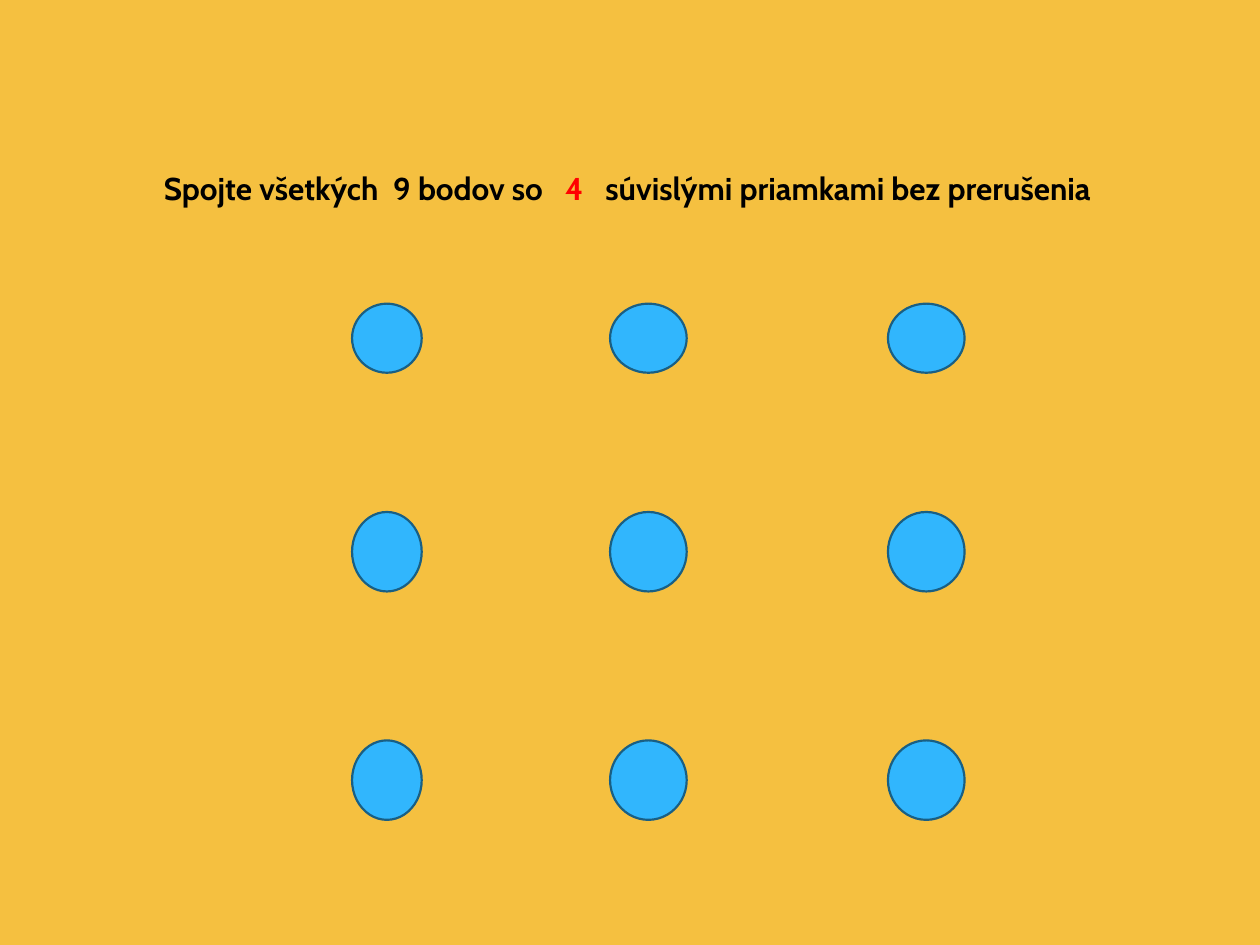
from pptx import Presentation
from pptx.dml.color import RGBColor
from pptx.enum.shapes import MSO_SHAPE
from pptx.enum.text import MSO_ANCHOR, PP_ALIGN
from pptx.util import Pt

COLORS = {
    "background": "F5C040",
    "dot": "31B6FD",
    "outline": "195F84",
    "text": "000000",
    "accent": "FF0000",
}


def add_span(para, text, color="text", spacing=0):
    """Add a bold run; spacing widens each character, in points."""
    span = para.add_run()
    span.text = text
    span.font.name = "Cabin"
    span.font.size = Pt(18)
    span.font.bold = True
    span.font.color.rgb = RGBColor.from_string(COLORS[color])
    if spacing:
        span.font._element.set("spc", str(round(spacing * 100)))


# Deck and background
deck = Presentation()
deck.slide_width, deck.slide_height = Pt(720), Pt(540)
page = deck.slides.add_slide(deck.slide_layouts[5])
page.background.fill.solid()
page.background.fill.fore_color.rgb = RGBColor.from_string(COLORS["background"])

# Title
title = page.shapes.title
title.left, title.top, title.width, title.height = Pt(82), Pt(80.6), Pt(553), Pt(53.3)
frame = title.text_frame
frame.word_wrap = True
frame.vertical_anchor = MSO_ANCHOR.MIDDLE
para = frame.paragraphs[0]
para.alignment = PP_ALIGN.CENTER
add_span(para, "Spojte všetkých")
add_span(para, " ", spacing=4.3)
add_span(para, "9 bodov so")
add_span(para, " ", spacing=8.6)
add_span(para, "4", color="accent")
add_span(para, " ", spacing=8.6)
add_span(para, "súvislými priamkami bez prerušenia")

# Nine dots: (left, width) of columns and (top, height) of rows
columns = [(201.2, 39.8), (348.6, 43.8), (507.4, 43.8)]
rows = [(173.5, 39.5), (292.6, 45.4), (423.1, 45.4)]
for top, height in rows:
    for left, width in columns:
        dot = page.shapes.add_shape(
            MSO_SHAPE.OVAL, Pt(left), Pt(top), Pt(width), Pt(height))
        dot.shadow.inherit = False
        dot.fill.solid()
        dot.fill.fore_color.rgb = RGBColor.from_string(COLORS["dot"])
        dot.line.color.rgb = RGBColor.from_string(COLORS["outline"])
        dot.line.width = Pt(1.25)

deck.save("out.pptx")
